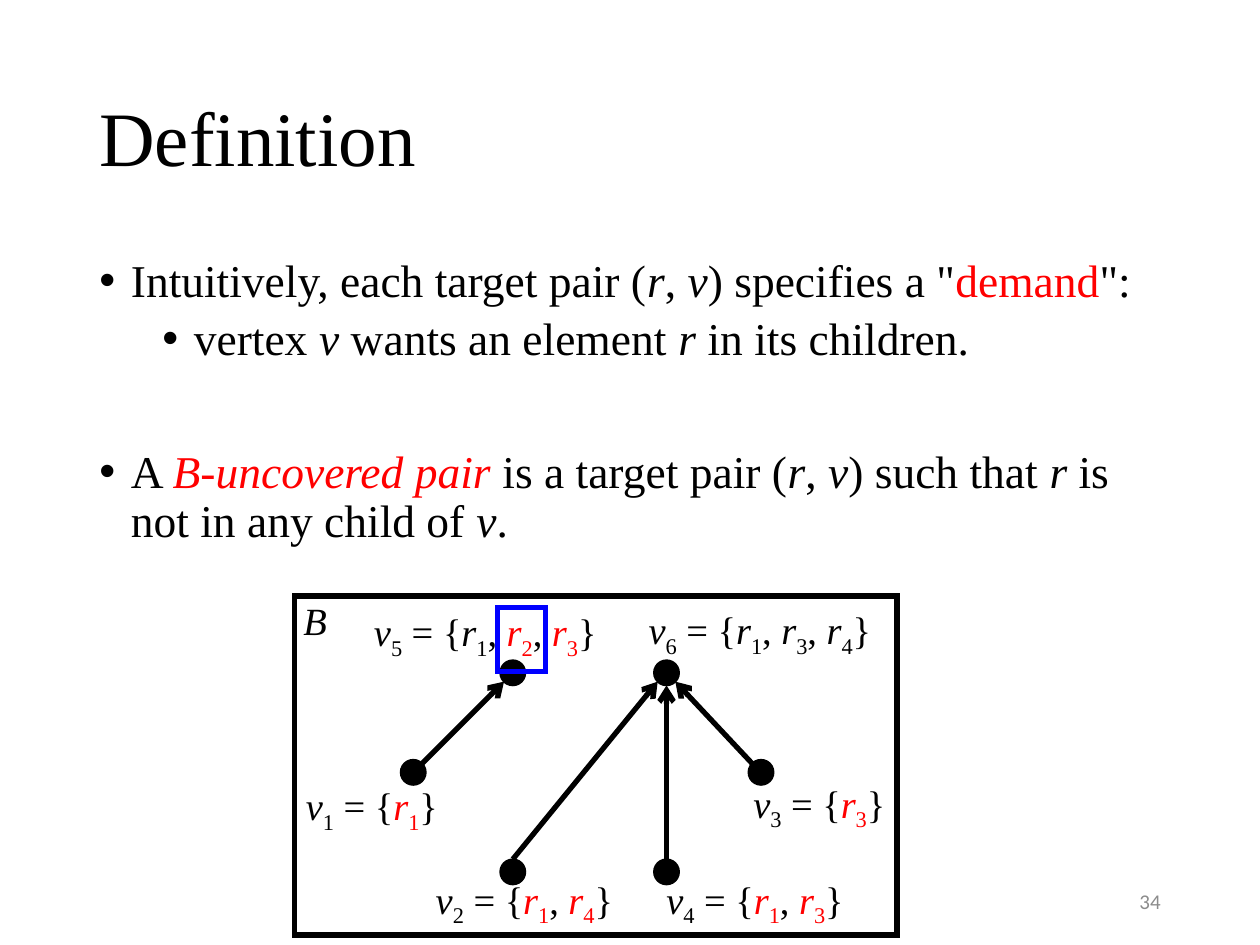
from lxml.etree import SubElement
from pptx import Presentation
from pptx.dml.color import RGBColor
from pptx.enum.shapes import MSO_CONNECTOR as Connector, MSO_SHAPE as Shape
from pptx.enum.text import MSO_ANCHOR as Anchor, PP_ALIGN as Align
from pptx.oxml.ns import qn
from pptx.util import Inches, Pt

COLORS = {"ink": "000000", "accent": "FF0000", "marker": "0000FF", "muted": "8C8C8C"}
SERIF = "Times New Roman"
RADIUS = 0.1
DIAGONAL = 0.07

BULLETS = [
    (0.25, 0, [("Intuitively, each target pair (", ""), ("r", "i"), (", ", ""), ("v", "i"),
               (') specifies a "', ""), ("demand", "a"), ('":', "")]),
    (0.75, 5, [("vertex ", ""), ("v ", "i"), ("wants an element ", ""), ("r", "i"),
               (" in its children.", "")]),
    (0.25, 48, [("A ", ""), ("B", "ia"), ("-", "a"), ("uncovered pair ", "ia"),
                ("is a target pair (", ""), ("r", "i"), (", ", ""), ("v", "i"),
                (") such that ", ""), ("r", "i"), (" is not in any child of ", ""),
                ("v", "i"), (".", "")]),
]

VERTICES = {
    1: (0.94, 1.4), 2: (1.73, 2.19), 3: (3.7, 1.4),
    4: (2.95, 2.19), 5: (1.73, 0.61), 6: (2.95, 0.61),
}

LABELS = {
    1: ((-0.01, 1.43, 1.37), [(1, "a")]),
    2: ((1.02, 2.17, 1.65), [(1, "a"), (4, "a")]),
    3: ((3.54, 1.41, 1.29), [(3, "a")]),
    4: ((2.85, 2.17, 1.65), [(1, "a"), (3, "a")]),
    5: ((0.53, 0.05, 2.04), [(1, ""), (2, "a"), (3, "a")]),
    6: ((2.71, 0.03, 2.04), [(1, ""), (3, ""), (4, "")]),
}

EDGES = [
    (1, (DIAGONAL, -DIAGONAL), 5, (-DIAGONAL, DIAGONAL)),
    (2, (0, -RADIUS), 6, (-DIAGONAL, DIAGONAL)),
    (3, (-DIAGONAL, -DIAGONAL), 6, (DIAGONAL, DIAGONAL)),
    (4, (0, -RADIUS), 6, (0, RADIUS)),
]


def rgb(name):
    """Return the named colour."""
    return RGBColor.from_string(COLORS[name])


def add_box(slide, box, **frame_format):
    """Add a text box and return its frame."""
    frame = slide.shapes.add_textbox(*map(Inches, box)).text_frame
    for name, value in {"word_wrap": True, **frame_format}.items():
        setattr(frame, name, value)
    return frame


def add_spans(para, spans, size, font=SERIF, color="ink"):
    """Write spans whose style letters are i italic, a accent, s subscript."""
    for text, style in spans:
        span = para.add_run()
        span.text = text
        values = {"name": font, "size": Pt(size), "italic": "i" in style}
        for name, value in values.items():
            setattr(span.font, name, value)
        span.font.color.rgb = rgb("accent" if "a" in style else color)
        if "s" in style:
            span.font._element.set("baseline", "-25000")


def add_outline(slide, kind, box, color, width, filled=False):
    """Add a preset shape with a line, filled or hollow."""
    shape = slide.shapes.add_shape(kind, *map(Inches, box))
    shape.shadow.inherit = False
    shape.line.color.rgb = rgb(color)
    shape.line.width = Pt(width)
    SubElement(shape.line._get_or_add_ln(), qn("a:miter"), lim="800000")
    if filled:
        shape.fill.solid()
        shape.fill.fore_color.rgb = rgb(color)
    else:
        shape.fill.background()


def add_arrow(slide, start, end):
    """Add a thick line with an open arrowhead at its end."""
    line = slide.shapes.add_connector(Connector.STRAIGHT, *map(Inches, (*start, *end)))
    line.line.color.rgb = rgb("ink")
    line.line.width = Pt(3)
    SubElement(line.line._get_or_add_ln(), qn("a:tailEnd"), type="arrow")
    SubElement(line._element.spPr, qn("a:effectLst"))


def add_title(slide, box, text):
    """Place the slide title."""
    para = add_box(slide, box, vertical_anchor=Anchor.MIDDLE).paragraphs[0]
    para.line_spacing = 0.9
    add_spans(para, [(text, "")], 44)


def add_bullets(slide, box, bullets):
    """Place the bulleted definitions."""
    frame = add_box(slide, box)
    for index, (margin, before, spans) in enumerate(bullets):
        para = frame.add_paragraph() if index else frame.paragraphs[0]
        props = para._p.get_or_add_pPr()
        props.set("marL", str(Inches(margin)))
        props.set("indent", str(-Inches(0.25)))
        SubElement(props, qn("a:buFont"), typeface="Arial")
        SubElement(props, qn("a:buChar"), char="•")
        para.line_spacing = 0.9
        para.space_before = Pt(before)
        add_spans(para, spans, 26)


def set_spans(vertex, members):
    """Return the spans that spell out the set held by a vertex."""
    spans = [("v", "i"), (str(vertex), "s"), (" = {", "")]
    for index, (number, style) in enumerate(members):
        if index:
            spans.append((", ", ""))
        spans += [("r", "i" + style), (str(number), "s" + style)]
    return spans + [("}", "")]


def add_graph(slide, box):
    """Draw the framed graph with its vertices, arrows and set labels."""
    left, top, width, height = box

    def place(point, offset=(0, 0)):
        """Shift a point of the graph onto the slide."""
        return left + point[0] + offset[0], top + point[1] + offset[1]

    for child, child_side, parent, parent_side in EDGES:
        add_arrow(slide, place(VERTICES[child], child_side),
                  place(VERTICES[parent], parent_side))
    for center in VERTICES.values():
        corner = place(center, (-RADIUS, -RADIUS))
        add_outline(slide, Shape.OVAL, (*corner, 2 * RADIUS, 2 * RADIUS), "ink", 1, True)
    for vertex, ((x, y, label_width), members) in LABELS.items():
        frame = add_box(slide, (*place((x, y)), label_width, 0.47), word_wrap=False)
        add_spans(frame.paragraphs[0], set_spans(vertex, members), 22)
    add_outline(slide, Shape.RECTANGLE, box, "ink", 3)
    name = add_box(slide, (*place((-0.03, -0.04)), 0.6, 0.47))
    add_spans(name.paragraphs[0], [("B", "i")], 22)
    add_outline(slide, Shape.RECTANGLE, (*place((1.61, 0.09)), 0.38, 0.51), "marker", 3)


def add_page_number(slide, box, text):
    """Place the page number."""
    para = add_box(slide, box, vertical_anchor=Anchor.MIDDLE).paragraphs[0]
    para.alignment = Align.RIGHT
    add_spans(para, [(text, "")], 12, "Calibri", "muted")


def main():
    """Build and save the slide."""
    deck = Presentation()
    deck.slide_width, deck.slide_height = Inches(10), Inches(7.5)
    slide = deck.slides.add_slide(deck.slide_layouts[6])
    add_title(slide, (0.69, 0.4, 8.62, 1.45), "Definition")
    add_bullets(slide, (0.69, 2, 8.62, 4.76), BULLETS)
    add_page_number(slide, (7.06, 6.95, 2.25, 0.4), "34")
    add_graph(slide, (2.34, 4.73, 4.78, 2.69))
    deck.save("out.pptx")


if __name__ == "__main__":
    main()
